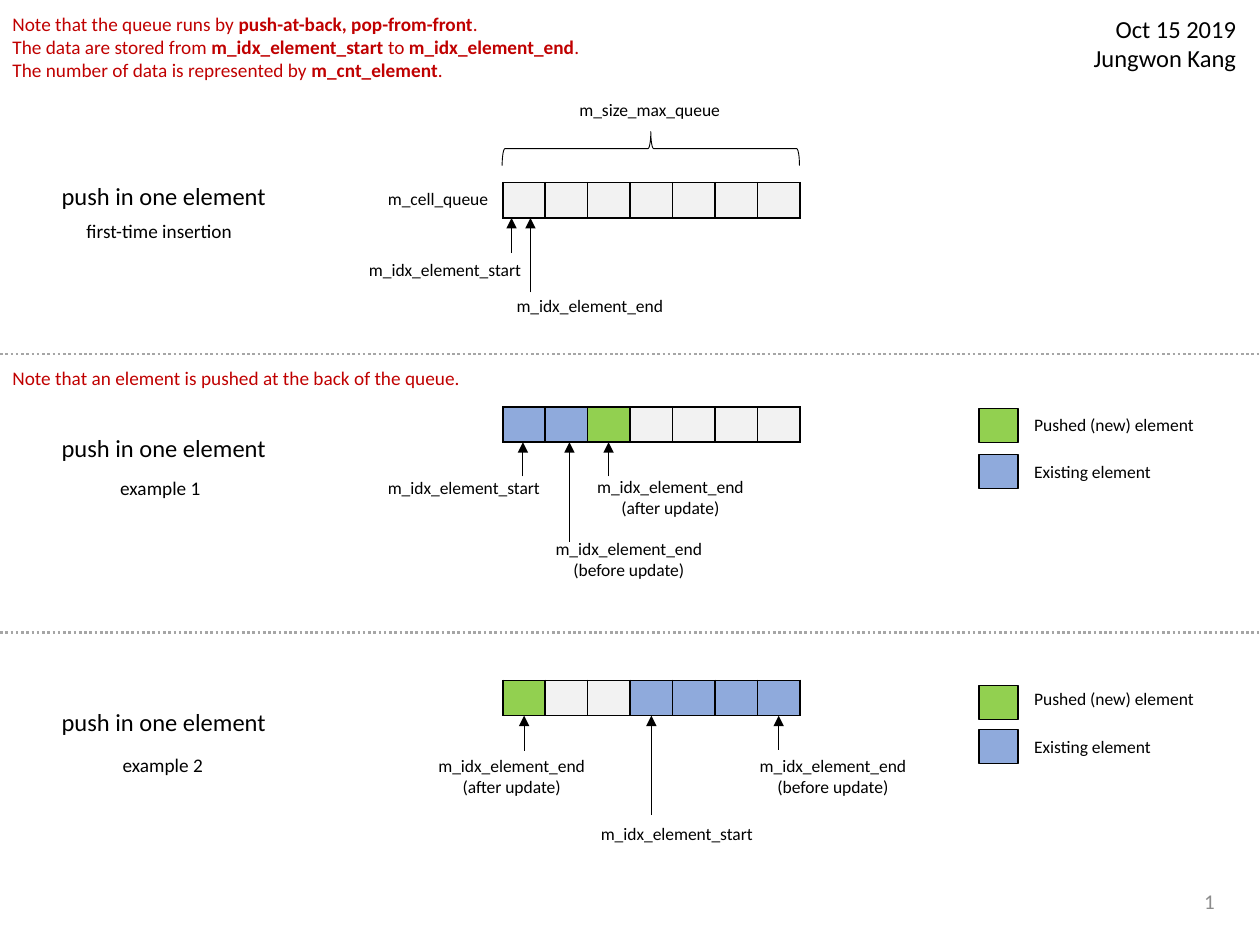
"""Build a slide that explains pushing elements into a circular queue."""
from dataclasses import dataclass

from lxml import etree
from pptx import Presentation
from pptx import util as u
from pptx.dml.color import RGBColor
from pptx.enum import dml, shapes, text
from pptx.oxml import ns


@dataclass(frozen=True)
class Theme:
    font: str = "Calibri"
    black: str = "000000"
    note: str = "C00000"
    divider: str = "A6A6A6"
    page: str = "8C8C8C"
    empty: str = "F2F2F2"
    existing: str = "8FAADC"
    pushed: str = "92D050"
    label_size: int = 10
    note_size: int = 11
    page_size: int = 12
    heading_size: int = 14


LEFT, CENTER, RIGHT = text.PP_ALIGN.LEFT, text.PP_ALIGN.CENTER, text.PP_ALIGN.RIGHT


class SlideBuilder:
    def __init__(self, slide, theme):
        self.slide = slide
        self.theme = theme

    def text(self, lines, left, top, width, size=None, color=None, align=LEFT):
        size = size or self.theme.label_size
        lines = lines.split("\n")
        height = 0.1 + len(lines) * size / 60
        box = self.slide.shapes.add_textbox(
            u.Inches(left), u.Inches(top), u.Inches(width), u.Inches(height))
        frame = box.text_frame
        frame.word_wrap = False
        frame.auto_size = text.MSO_AUTO_SIZE.SHAPE_TO_FIT_TEXT
        for index, line in enumerate(lines):
            paragraph = frame.add_paragraph() if index else frame.paragraphs[0]
            paragraph.alignment = align
            paragraph.font.name = self.theme.font
            paragraph.font.size = u.Pt(size)
            paragraph.font.color.rgb = RGBColor.from_string(color or self.theme.black)
            for part, words in enumerate(line.split("*")):
                run = paragraph.add_run()
                run.text = words
                if part % 2:
                    run.font.bold = True
        return box

    def line(self, start, end, color, width):
        line = self.slide.shapes.add_connector(
            shapes.MSO_CONNECTOR.STRAIGHT, *map(u.Inches, (*start, *end)))
        line.line.color.rgb = RGBColor.from_string(color)
        line.line.width = u.Pt(width)
        etree.SubElement(line._element.spPr, ns.qn("a:effectLst"))
        return line

    def arrow(self, x, bottom, top):
        arrow = self.line((x, bottom), (x, top), self.theme.black, 0.5)
        etree.SubElement(arrow.line._get_or_add_ln(), ns.qn("a:tailEnd"), type="triangle")

    def divider(self, top):
        divider = self.line((0, top), (10, top), self.theme.divider, 1.5)
        divider.line.dash_style = dml.MSO_LINE.ROUND_DOT

    def shape(self, kind, left, top, width, height, line_width, fill=None):
        shape = self.slide.shapes.add_shape(
            kind, *map(u.Inches, (left, top, width, height)))
        shape.shadow.inherit = False
        shape.line.color.rgb = RGBColor.from_string(self.theme.black)
        shape.line.width = u.Pt(line_width)
        if fill:
            shape.fill.solid()
            shape.fill.fore_color.rgb = RGBColor.from_string(fill)
        else:
            shape.fill.background()
        return shape

    def queue(self, top, fills):
        width, height = u.Inches(2.36), u.Inches(0.28)
        table = self.slide.shapes.add_table(
            1, len(fills), u.Inches(3.99), u.Inches(top), width, height).table
        for column, fill in enumerate(fills):
            table.columns[column].width = width // len(fills)
            cell = table.cell(0, column)
            cell.margin_top = cell.margin_bottom = 0
            cell.text_frame.paragraphs[0].font.size = u.Pt(self.theme.label_size)
            properties = cell._tc.get_or_add_tcPr()
            for side in ("lnL", "lnR", "lnT", "lnB"):
                border = etree.SubElement(properties, ns.qn(f"a:{side}"), w=str(u.Pt(1)))
                solid = etree.SubElement(border, ns.qn("a:solidFill"))
                etree.SubElement(solid, ns.qn("a:srgbClr"), val=self.theme.black)
            cell.fill.solid()
            cell.fill.fore_color.rgb = RGBColor.from_string(fill)

    def legend(self, pushed_top, existing_top, pushed_text_top, existing_text_top):
        entries = (
            ("Pushed (new) element", self.theme.pushed, pushed_top, pushed_text_top, 1.49),
            ("Existing element", self.theme.existing, existing_top, existing_text_top, 1.14),
        )
        for label, fill, top, text_top, width in entries:
            self.shape(shapes.MSO_SHAPE.RECTANGLE, 7.77, top, 0.31, 0.27, 0.75, fill)
            self.text(label, 8.11, text_top, width)


def main():
    presentation = Presentation()
    presentation.slide_width, presentation.slide_height = u.Inches(10), u.Inches(7.5)
    theme = Theme()
    builder = SlideBuilder(presentation.slides.add_slide(presentation.slide_layouts[6]), theme)
    empty, existing, pushed = [theme.empty], [theme.existing], [theme.pushed]

    builder.text(
        "Note that the queue runs by *push-at-back, pop-from-front*.\n"
        "The data are stored from *m_idx_element_start* to *m_idx_element_end*.\n"
        "The number of data is represented by *m_cnt_element*.",
        0, 0.05, 4.75, theme.note_size, theme.note)
    builder.text("Note that an element is pushed at the back of the queue.",
                 0, 2.86, 3.77, theme.note_size, theme.note)
    builder.text("Oct 15 2019\nJungwon Kang", 8.57, 0.06, 1.34,
                 theme.heading_size, align=RIGHT)

    for top in (1.39, 3.39, 5.56):
        builder.text("push in one element", 0.37, top, 1.84, theme.heading_size, align=RIGHT)
    for caption, left, top, width in (
        ("first-time insertion", 0.57, 1.69, 1.37),
        ("example 1", 0.84, 3.73, 0.85),
        ("example 2", 0.86, 5.93, 0.85),
    ):
        builder.text(caption, left, top, width, theme.note_size, align=RIGHT)

    for top, fills in (
        (1.45, empty * 7),
        (3.23, existing * 2 + pushed + empty * 4),
        (5.4, pushed + empty * 2 + existing * 4),
    ):
        builder.queue(top, fills)

    brace = builder.shape(shapes.MSO_SHAPE.LEFT_BRACE, 5.03, 0, 0.27, 2.36, 0.5)
    brace.rotation = 90
    builder.text("m_size_max_queue", 4.5, 0.74, 1.34)
    builder.text("m_cell_queue", 2.98, 1.44, 1.01)

    for x, bottom, top in (
        (4.06, 2.01, 1.73), (4.21, 2.32, 1.73),
        (4.15, 3.78, 3.51), (4.52, 4.3, 3.51), (4.83, 3.78, 3.51),
        (4.16, 5.96, 5.68), (5.17, 6.47, 5.68), (6.18, 5.95, 5.68),
    ):
        builder.arrow(x, bottom, top)

    for left, top in ((2.83, 2.01), (2.98, 3.74), (4.67, 6.48)):
        builder.text("m_idx_element_start", left, top, 1.43)
    for left, top, state in (
        (3.99, 2.29, ""),
        (4.63, 3.73, "\n(after update)"), (4.3, 4.22, "\n(before update)"),
        (3.37, 5.94, "\n(after update)"), (5.92, 5.94, "\n(before update)"),
    ):
        builder.text("m_idx_element_end" + state, left, top, 1.38, align=CENTER)

    for top in (2.81, 5.02):
        builder.divider(top)
    builder.legend(3.24, 3.61, 3.24, 3.61)
    builder.legend(5.44, 5.79, 5.41, 5.79)

    page = builder.text("1", 7.49, 6.95, 2.25, theme.page_size, theme.page, RIGHT)
    page.text_frame.word_wrap = True
    page.text_frame.auto_size = text.MSO_AUTO_SIZE.NONE
    page.text_frame.vertical_anchor = text.MSO_ANCHOR.MIDDLE
    page.height = u.Inches(0.4)

    presentation.save("out.pptx")


main()
